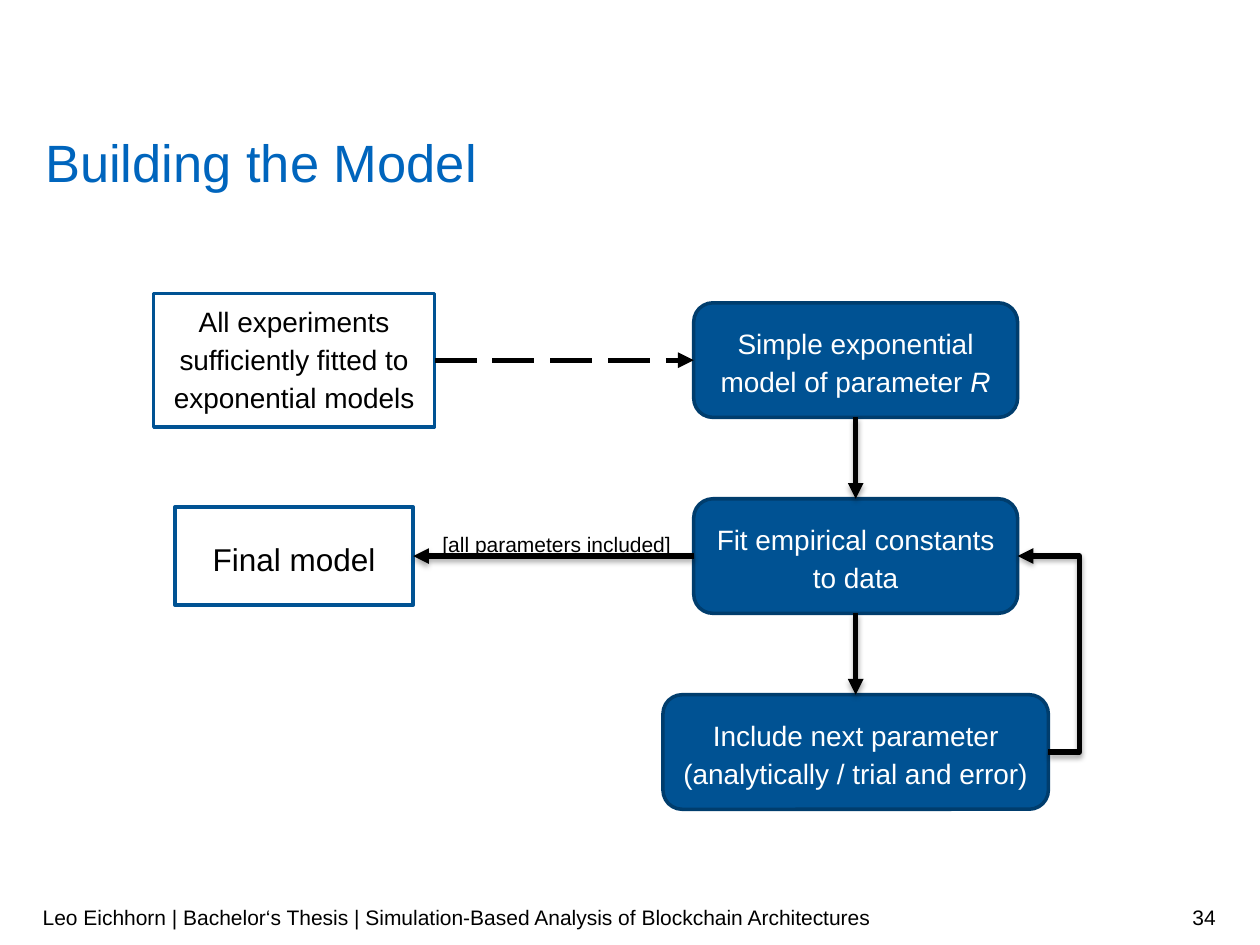
from lxml.etree import SubElement
from pptx import Presentation
from pptx.dml.color import RGBColor
from pptx.enum.dml import MSO_LINE
from pptx.enum.shapes import MSO_CONNECTOR, MSO_SHAPE
from pptx.enum.text import MSO_ANCHOR, MSO_AUTO_SIZE, PP_ALIGN
from pptx.oxml.ns import qn
from pptx.util import Cm, Pt

BLACK = RGBColor(0, 0, 0)
WHITE = RGBColor(255, 255, 255)
TITLE_BLUE = RGBColor(0x00, 0x65, 0xBD)
BLUE = RGBColor(0x00, 0x52, 0x93)
DARK_BLUE = RGBColor(0x00, 0x3D, 0x6D)

LEFT_X, RIGHT_X = 5.93, 17.25
FIRST_Y, ROW_STEP = 7.26, 3.95
STEP_H = 2.31
TOP, LEFT, BOTTOM, RIGHT = range(4)

STEPS = [
    ("simple", ["Simple exponential model of parameter ", "R"], 6.53),
    ("fit", ["Fit empirical constants to data"], 6.53),
    ("next", ["Include next parameter (analytically / trial and error)"], 7.77),
]
ENDS = [
    ("experiments", "All experiments sufficiently fitted to exponential models",
     5.66, 2.69, 16, MSO_ANCHOR.TOP),
    ("final", "Final model", 4.8, 1.98, 18, MSO_ANCHOR.MIDDLE),
]
ARROWS = [
    ("simple", BOTTOM, "fit", TOP),
    ("fit", BOTTOM, "next", TOP),
    ("fit", LEFT, "final", RIGHT),
    ("next", RIGHT, "fit", RIGHT),
    ("experiments", RIGHT, "simple", LEFT),
]
FOOTER = "Leo Eichhorn | Bachelor‘s Thesis | Simulation-Based Analysis of Blockchain Architectures"


def write(sp, *texts, size=12, color=BLACK, align=PP_ALIGN.LEFT, spacing=None,
          anchor=MSO_ANCHOR.TOP, inset_x=0, inset_y=0):
    tf = sp.text_frame
    tf.word_wrap = True
    tf.auto_size = MSO_AUTO_SIZE.NONE
    tf.vertical_anchor = anchor
    tf.margin_left = tf.margin_right = Cm(inset_x)
    tf.margin_top = tf.margin_bottom = Cm(inset_y)
    p = tf.paragraphs[0]
    p.alignment = align
    p.line_spacing = spacing
    for i, text in enumerate(texts):
        r = p.add_run()
        r.text = text
        r.font.name = "Arial"
        r.font.size = Pt(size)
        r.font.color.rgb = color
        r.font.italic = i > 0


def add_box(s, preset, x, row, w, h, fill, line):
    y = FIRST_Y + row * ROW_STEP
    sp = s.shapes.add_shape(preset, Cm(x - w / 2), Cm(y - h / 2), Cm(w), Cm(h))
    sp.shadow.inherit = False
    sp.fill.solid()
    sp.fill.fore_color.rgb = fill
    sp.line.color.rgb = line
    sp.line.width = Pt(2)
    return sp


def add_arrow(s, start, start_site, end, end_site):
    looped = start_site == end_site
    dashed = (start_site, end_site) == (RIGHT, LEFT)
    kind = MSO_CONNECTOR.ELBOW if looped else MSO_CONNECTOR.STRAIGHT
    c = s.shapes.add_connector(kind, 0, 0, 0, 0)
    c.begin_connect(start, start_site)
    c.end_connect(end, end_site)
    c.line.color.rgb = BLACK
    c.line.width = Pt(3)
    if dashed:
        c.line.dash_style = MSO_LINE.LONG_DASH
    SubElement(c.line._get_or_add_ln(), qn("a:tailEnd"), type="triangle")
    sp_pr = c._element.spPr
    if looped:
        SubElement(sp_pr.prstGeom.get_or_add_avLst(), qn("a:gd"),
                   name="adj1", fmla="val -101300")
    effects = SubElement(sp_pr, qn("a:effectLst"))
    if not dashed:
        shadow = SubElement(effects, qn("a:outerShdw"), blurRad=str(Pt(3.1)),
                            dist=str(Pt(1.8)), dir="5400000", rotWithShape="0")
        black = SubElement(shadow, qn("a:srgbClr"), val=str(BLACK))
        SubElement(black, qn("a:alpha"), val="35000")


def add_text(s, x, y, w, h, text, **fmt):
    write(s.shapes.add_textbox(Cm(x), Cm(y), Cm(w), Cm(h)), text, **fmt)


def main():
    prs = Presentation()
    prs.slide_width, prs.slide_height = Cm(25.4), Cm(19.05)
    s = prs.slides.add_slide(prs.slide_layouts[5])

    title = s.shapes.title
    title.left, title.top, title.width, title.height = Cm(0.91), Cm(2.77), Cm(23.65), Cm(1.14)
    write(title, "Building the Model", size=30, color=TITLE_BLUE, spacing=Pt(32))

    boxes = {}
    for row, (name, texts, w) in enumerate(STEPS):
        sp = add_box(s, MSO_SHAPE.ROUNDED_RECTANGLE, RIGHT_X, row, w, STEP_H, BLUE, DARK_BLUE)
        write(sp, *texts, size=16, color=WHITE, align=PP_ALIGN.CENTER, spacing=1.14,
              anchor=MSO_ANCHOR.MIDDLE, inset_x=0.25, inset_y=0.13)
        boxes[name] = sp
    for row, (name, text, w, h, size, anchor) in enumerate(ENDS):
        sp = add_box(s, MSO_SHAPE.RECTANGLE, LEFT_X, row, w, h, WHITE, BLUE)
        write(sp, text, size=size, align=PP_ALIGN.CENTER, spacing=1.14,
              anchor=anchor, inset_x=0.25, inset_y=0.13)
        boxes[name] = sp

    for start, start_site, end, end_site in ARROWS:
        add_arrow(s, boxes[start], start_site, boxes[end], end_site)

    add_text(s, 8.92, 10.64, 5.51, 0.53, "[all parameters included]", spacing=1.14)
    add_text(s, 0.86, 17.98, 17.96, 1.02, FOOTER, anchor=MSO_ANCHOR.MIDDLE, inset_y=0.13)
    add_text(s, 18.82, 17.98, 5.69, 1.02, "34", align=PP_ALIGN.RIGHT,
             anchor=MSO_ANCHOR.MIDDLE, inset_y=0.13)
    prs.save("out.pptx")


if __name__ == "__main__":
    main()
